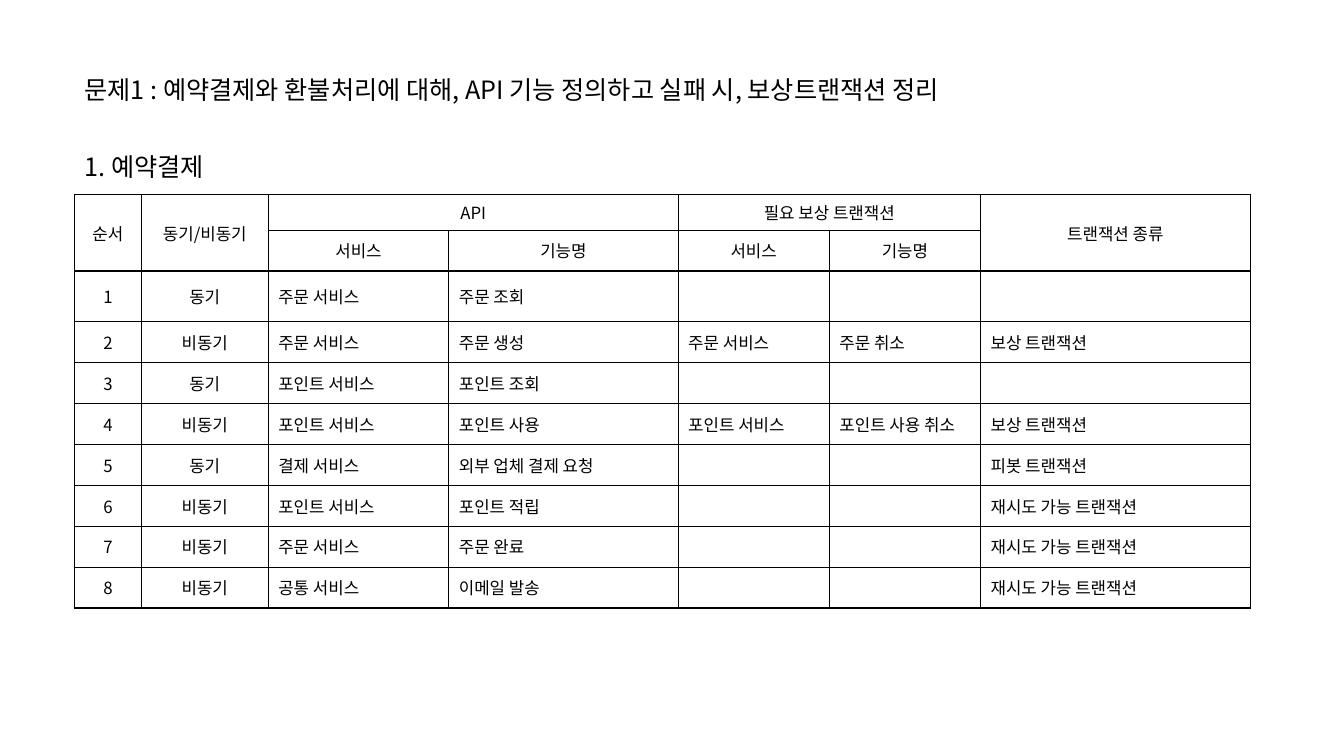
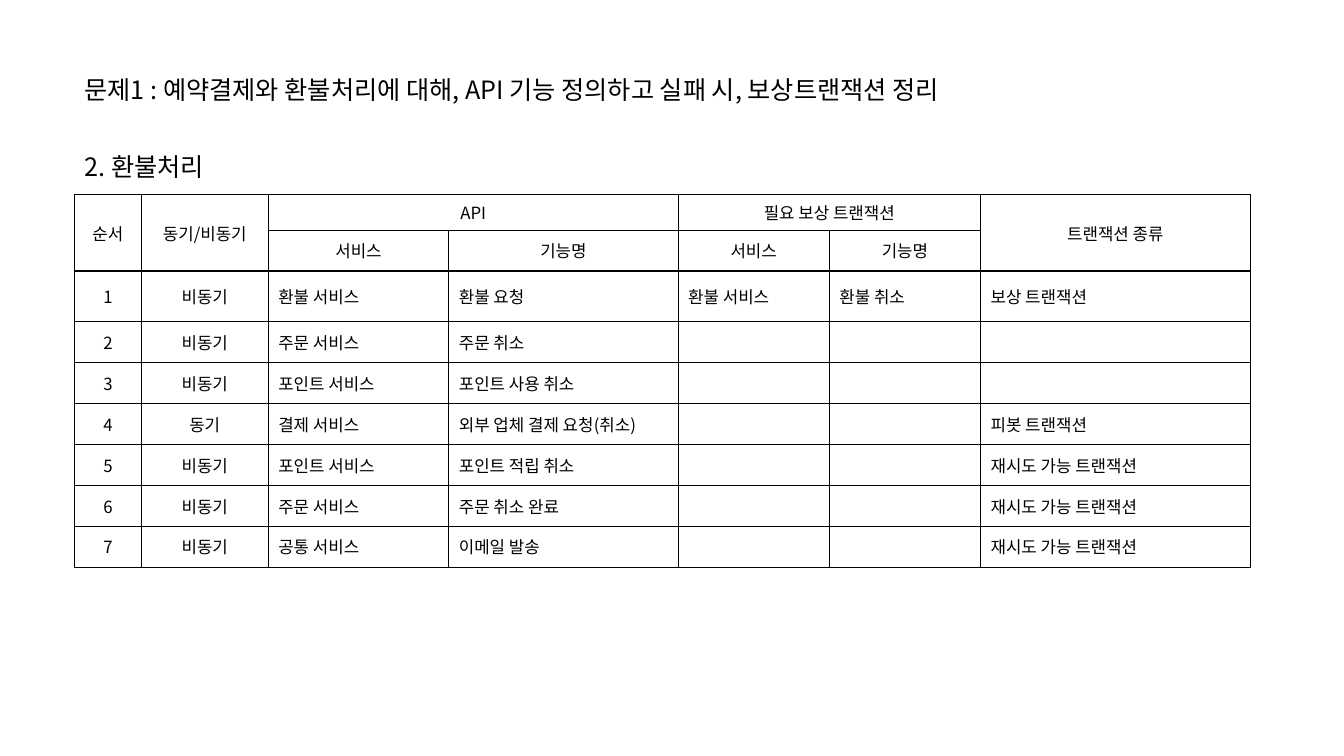
from lxml import etree
from pptx import Presentation
from pptx import util as u
from pptx.dml.color import RGBColor
from pptx.enum import text
from pptx.oxml import ns

BLACK = RGBColor(0x00, 0x00, 0x00)
FONT = "Noto Sans CJK KR"
TITLE = "문제1 : 예약결제와 환불처리에 대해, API 기능 정의하고 실패 시, 보상트랜잭션 정리"

COLS = [1.68, 3.2, 4.55, 5.78, 3.81, 3.81, 6.8]
HEAD_ROWS = [0.9, 1.03]
FIRST_ROW, BODY_ROW = 1.28, 1.03
HEADER = [
    ["순서", "동기/비동기", "API", "", "필요 보상 트랜잭션", "", "트랜잭션 종류"],
    ["", "", "서비스", "기능명", "서비스", "기능명", ""],
]
MERGES = [((0, 0), (1, 0)), ((0, 1), (1, 1)), ((0, 2), (0, 3)),
          ((0, 4), (0, 5)), ((0, 6), (1, 6))]
CENTERED_COLS = 2

SYNC, ASYNC = "동기", "비동기"
ORDER, POINT, PAY = "주문 서비스", "포인트 서비스", "결제 서비스"
COMMON, REFUND = "공통 서비스", "환불 서비스"
COMPENSATE, PIVOT, RETRY = "보상 트랜잭션", "피봇 트랜잭션", "재시도 가능 트랜잭션"

PAYMENT_STEPS = [
    [SYNC, ORDER, "주문 조회", "", "", ""],
    [ASYNC, ORDER, "주문 생성", ORDER, "주문 취소", COMPENSATE],
    [SYNC, POINT, "포인트 조회", "", "", ""],
    [ASYNC, POINT, "포인트 사용", POINT, "포인트 사용 취소", COMPENSATE],
    [SYNC, PAY, "외부 업체 결제 요청", "", "", PIVOT],
    [ASYNC, POINT, "포인트 적립", "", "", RETRY],
    [ASYNC, ORDER, "주문 완료", "", "", RETRY],
    [ASYNC, COMMON, "이메일 발송", "", "", RETRY],
]
REFUND_STEPS = [
    [ASYNC, REFUND, "환불 요청", REFUND, "환불 취소", COMPENSATE],
    [ASYNC, ORDER, "주문 취소", "", "", ""],
    [ASYNC, POINT, "포인트 사용 취소", "", "", ""],
    [SYNC, PAY, "외부 업체 결제 요청(취소)", "", "", PIVOT],
    [ASYNC, POINT, "포인트 적립 취소", "", "", RETRY],
    [ASYNC, ORDER, "주문 취소 완료", "", "", RETRY],
    [ASYNC, COMMON, "이메일 발송", "", "", RETRY],
]


class Deck:
    left = 1.88
    heading_size = 18
    cell_size = 12
    border_width = 1

    def __init__(self):
        self.prs = Presentation()
        self.prs.slide_width = u.Cm(33.87)
        self.prs.slide_height = u.Cm(19.05)
        self.s = None

    def slide(self):
        self.s = self.prs.slides.add_slide(self.prs.slide_layouts[6])

    def style(self, p, size):
        for r in p.runs:
            r.font.size = u.Pt(size)
            r.font.name = FONT
            r.font.color.rgb = BLACK
            ea = etree.SubElement(r._r.get_or_add_rPr(), ns.qn("a:ea"))
            ea.set("typeface", FONT)
        if not p.runs:
            end = etree.SubElement(p._p, ns.qn("a:endParaRPr"))
            end.set("sz", str(size * 100))

    def heading(self, words, top, width):
        sp = self.s.shapes.add_textbox(u.Cm(self.left), u.Cm(top), u.Cm(width), u.Cm(1.03))
        tf = sp.text_frame
        tf.word_wrap = False
        tf.auto_size = text.MSO_AUTO_SIZE.SHAPE_TO_FIT_TEXT
        tf.text = words
        self.style(tf.paragraphs[0], self.heading_size)

    def borders(self, cell):
        tc_pr = cell._tc.get_or_add_tcPr()
        for i, side in enumerate(("lnL", "lnR", "lnT", "lnB")):
            ln = etree.Element(ns.qn("a:" + side), w=str(u.Pt(self.border_width)))
            fill = etree.SubElement(ln, ns.qn("a:solidFill"))
            etree.SubElement(fill, ns.qn("a:srgbClr"), val=str(BLACK))
            tc_pr.insert(i, ln)

    def cell(self, cell, words, centered):
        cell.fill.background()
        cell.vertical_anchor = text.MSO_ANCHOR.MIDDLE
        cell.text_frame.text = words
        p = cell.text_frame.paragraphs[0]
        if centered:
            p.alignment = text.PP_ALIGN.CENTER
        self.style(p, self.cell_size)
        self.borders(cell)

    def table(self, steps, top):
        rows = HEADER + [[str(n), *step] for n, step in enumerate(steps, 1)]
        heights = HEAD_ROWS + [FIRST_ROW] + [BODY_ROW] * (len(steps) - 1)
        tbl = self.s.shapes.add_table(
            len(rows), len(COLS), u.Cm(self.left), u.Cm(top),
            u.Cm(sum(COLS)), u.Cm(sum(heights))).table
        tbl.first_row = tbl.horz_banding = False
        for col, width in zip(tbl.columns, COLS):
            col.width = u.Cm(width)
        for row, height in zip(tbl.rows, heights):
            row.height = u.Cm(height)
        for i, row in enumerate(rows):
            for j, words in enumerate(row):
                centered = i < len(HEADER) or j < CENTERED_COLS
                self.cell(tbl.cell(i, j), words, centered)
        for start, end in MERGES:
            tbl.cell(*start).merge(tbl.cell(*end))


def main():
    deck = Deck()
    sections = [("1. 예약결제", PAYMENT_STEPS), ("2. 환불처리", REFUND_STEPS)]
    for name, steps in sections:
        deck.slide()
        deck.heading(TITLE, 1.75, 24.64)
        deck.heading(name, 3.68, 3.81)
        deck.table(steps, 4.9)
    deck.prs.save("out.pptx")


if __name__ == "__main__":
    main()
